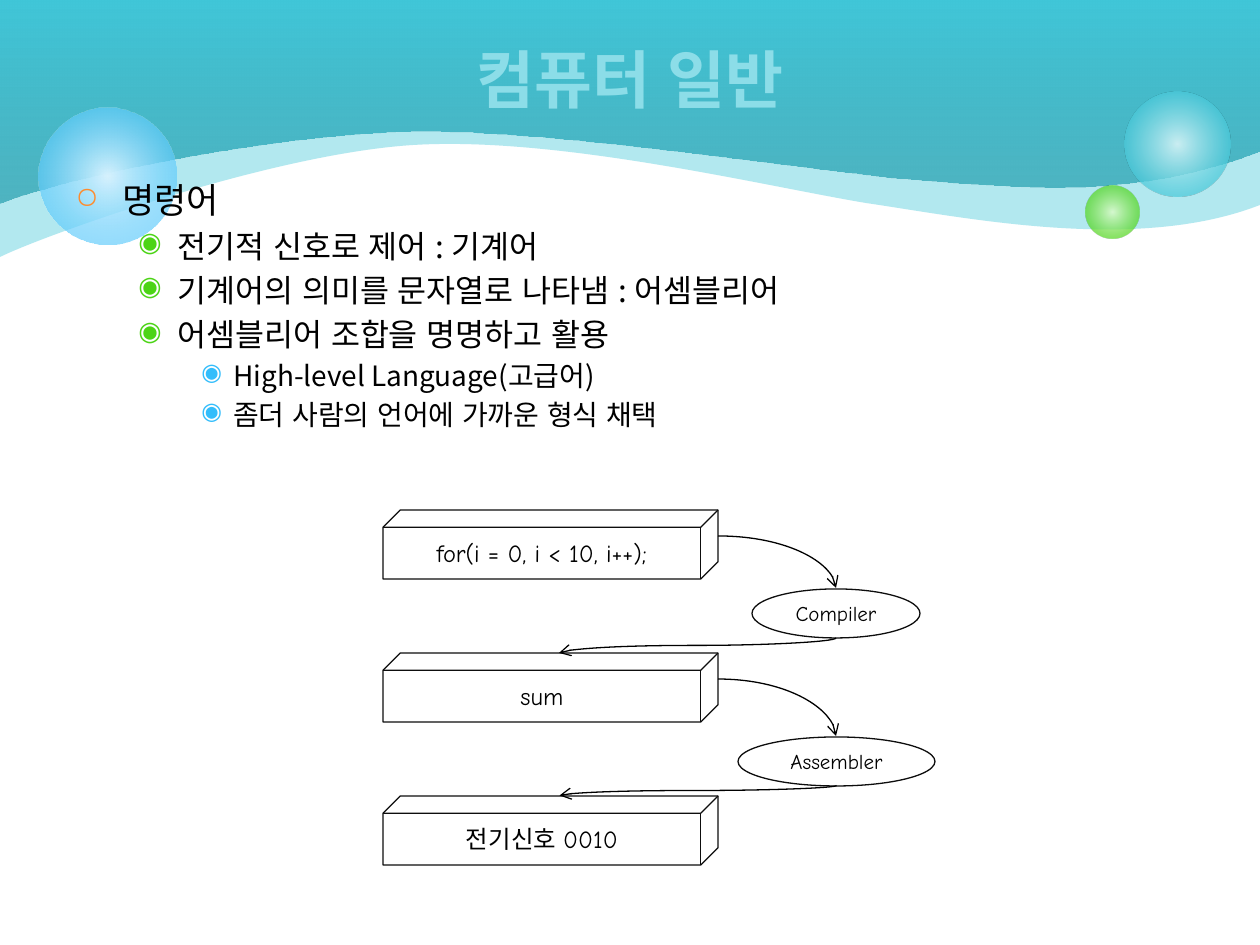
from dataclasses import dataclass

from lxml.etree import SubElement
from pptx import Presentation
from pptx.dml.color import RGBColor
from pptx.enum.lang import MSO_LANGUAGE_ID
from pptx.enum.shapes import MSO_CONNECTOR, MSO_SHAPE
from pptx.enum.text import MSO_ANCHOR, PP_ALIGN
from pptx.oxml.ns import qn
from pptx.util import Emu, Pt

EMU_PER_PX = 914400 / 126
KOREAN_FONT = "Noto Sans CJK KR"
LATIN_FONT = "Comic Neue"


@dataclass
class Stop:
    position: int
    color: str
    alpha: int = 100


@dataclass
class Wave:
    curves: list
    stops: list


@dataclass
class Bubble:
    left: int
    top: int
    size: int
    stops: list


@dataclass
class Level:
    margin: int
    hanging: int
    size: int
    bullet: str
    color: str


@dataclass
class Node:
    kind: MSO_SHAPE
    left: int
    top: int
    width: int
    height: int
    text: str
    size: int


@dataclass
class Arrow:
    preset: str
    left: int
    top: int
    width: int
    height: int
    rotation: int = 0


WAVES = [
    Wave([((0, 68), (0, 189), (0, 257)),
          ((42, 236), (270, 154), (413, 145)),
          ((558, 136), (764, 186), (866, 203)),
          ((968, 218), (1137, 253), (1260, 205))],
         [Stop(0, "40C6D8", 40)]),
    Wave([((0, 68), (0, 136), (0, 204)),
          ((57, 181), (256, 136), (411, 132)),
          ((566, 129), (829, 175), (929, 181)),
          ((1028, 188), (1137, 200), (1260, 152))],
         [Stop(0, "249EAE", 69), Stop(100, "40C6D8")]),
]
BUBBLES = [
    Bubble(1125, 92, 105, [Stop(0, "D9F4F7", 90), Stop(76, "40C6D8", 70)]),
    Bubble(1086, 186, 53, [Stop(0, "DAFACD", 90), Stop(76, "4CD416", 70)]),
    Bubble(39, 108, 137, [Stop(0, "D6F2FE"), Stop(100, "33BDFB", 54)]),
]
LEVELS = [
    Level(47, 47, 20, "○", "FE8C2E"),
    Level(102, 39, 18, "◉", "4CD416"),
    Level(158, 32, 16, "◉", "33BDFB"),
]
OUTLINE = [
    (0, "명령어"),
    (1, "전기적 신호로 제어 : 기계어"),
    (1, "기계어의 의미를 문자열로 나타냄 : 어셈블리어"),
    (1, "어셈블리어 조합을 명명하고 활용"),
    (2, "High-level Language(고급어)"),
    (2, "좀더 사람의 언어에 가까운 형식 채택"),
]
CODE_STAGES = ["for(i = 0, i < 10, i++);", "sum", "전기신호 0010"]
NODES = [Node(MSO_SHAPE.CUBE, 383, 510 + 143 * row, 335, 69, text, 14)
         for row, text in reversed(list(enumerate(CODE_STAGES)))] + [
    Node(MSO_SHAPE.OVAL, 752, 589, 168, 49, "Compiler", 12),
    Node(MSO_SHAPE.OVAL, 738, 737, 197, 49, "Assembler", 12),
]
ARROWS = [
    Arrow("curvedConnector2", 718, 536, 118, 52),
    Arrow("curvedConnector3", 690, 507, 15, 277, 90),
    Arrow("curvedConnector2", 718, 679, 118, 57),
    Arrow("curvedConnector3", 693, 652, 10, 277, 90),
]


def px(length: int) -> Emu:
    return Emu(round(length * EMU_PER_PX))


def rgb(color: str) -> RGBColor:
    return RGBColor.from_string(color)


def add_color(parent, stop: Stop) -> None:
    color = SubElement(parent, qn("a:srgbClr"), val=stop.color)
    SubElement(color, qn("a:alpha"), val=str(stop.alpha * 1000))


def paint(shape, stops: list, radial: bool = False) -> None:
    """Fill with one translucent colour, or with a gradient for several stops."""
    shape.shadow.inherit = False
    shape.line.fill.background()
    shape.fill.background()
    properties = shape._element.spPr
    empty = properties.find(qn("a:noFill"))
    fill = SubElement(properties, qn("a:solidFill" if len(stops) == 1 else "a:gradFill"))
    properties.replace(empty, fill)
    if len(stops) == 1:
        add_color(fill, stops[0])
        return
    stop_list = SubElement(fill, qn("a:gsLst"))
    for stop in stops:
        add_color(SubElement(stop_list, qn("a:gs"), pos=str(stop.position * 1000)), stop)
    if radial:
        circle = SubElement(fill, qn("a:path"), path="circle")
        SubElement(circle, qn("a:fillToRect"), l="50000", t="50000", r="50000", b="50000")
    else:
        SubElement(fill, qn("a:lin"), ang="16200000", scaled="0")


def set_font(para, name: str, size: int, color: str, bold: bool = False) -> None:
    font = para.font
    font.size, font.bold, font.name = Pt(size), bold, name
    font.language_id = MSO_LANGUAGE_ID.KOREAN
    font.color.rgb = rgb(color)
    SubElement(font._element, qn("a:ea"), typeface=KOREAN_FONT)


def draw_wave(page, wave: Wave) -> None:
    """Join the curve ends with a freeform, then bend its segments into Béziers."""
    builder = page.shapes.build_freeform(0, 0, scale=EMU_PER_PX)
    ends = [curve[-1] for curve in wave.curves]
    builder.add_line_segments(ends + [(1261, 0), (0, 0)], close=True)
    shape = builder.convert_to_shape()
    segments = list(shape._element.iter(qn("a:lnTo")))
    for segment, curve in zip(segments, wave.curves):
        outline = segment.getparent()
        bend = SubElement(outline, qn("a:cubicBezTo"))
        outline.replace(segment, bend)
        for x, y in curve:
            SubElement(bend, qn("a:pt"), x=str(x), y=str(y))
    paint(shape, wave.stops)


def draw_bubble(page, bubble: Bubble) -> None:
    shape = page.shapes.add_shape(MSO_SHAPE.OVAL, px(bubble.left), px(bubble.top),
                                  px(bubble.size), px(bubble.size))
    paint(shape, bubble.stops, radial=True)


def draw_outline(page) -> None:
    frame = page.shapes.add_textbox(px(63), px(172), px(1134), px(699)).text_frame
    frame.word_wrap = True
    for index, (depth, text) in enumerate(OUTLINE):
        level = LEVELS[depth]
        para = frame.add_paragraph() if index else frame.paragraphs[0]
        para.text, para.level = text, depth
        properties = para._p.get_or_add_pPr()
        properties.set("marL", str(px(level.margin)))
        properties.set("indent", str(-px(level.hanging)))
        SubElement(SubElement(properties, qn("a:buClr")), qn("a:srgbClr"), val=level.color)
        SubElement(properties, qn("a:buSzPct"), val="85000")
        SubElement(properties, qn("a:buChar"), char=level.bullet)
        para.space_before = Pt(level.size * 0.2)
        set_font(para, KOREAN_FONT, level.size, "000000")


def draw_title(page) -> None:
    title = page.shapes.title
    title.left, title.top, title.width, title.height = px(63), px(0), px(1134), px(157)
    title.text_frame.text = "컴퓨터 일반"
    title.text_frame.vertical_anchor = MSO_ANCHOR.MIDDLE
    para = title.text_frame.paragraphs[0]
    para.alignment = PP_ALIGN.CENTER
    set_font(para, KOREAN_FONT, 36, "8CDDE8", bold=True)
    page.shapes._spTree.append(title._element)  # in front of the waves


def draw_node(page, node: Node) -> None:
    shape = page.shapes.add_shape(node.kind, px(node.left), px(node.top),
                                  px(node.width), px(node.height))
    shape.shadow.inherit = False
    shape.fill.background()
    shape.line.color.rgb, shape.line.width = rgb("0D0D0D"), Pt(0.75)
    shape.text_frame.text = node.text
    shape.text_frame.vertical_anchor = MSO_ANCHOR.MIDDLE
    para = shape.text_frame.paragraphs[0]
    para.alignment = PP_ALIGN.CENTER
    set_font(para, LATIN_FONT, node.size, "000000")


def draw_arrow(page, arrow: Arrow) -> None:
    line = page.shapes.add_connector(
        MSO_CONNECTOR.CURVE, px(arrow.left), px(arrow.top),
        px(arrow.left + arrow.width), px(arrow.top + arrow.height))
    line.line.color.rgb, line.line.width = rgb("000000"), Pt(0.75)
    properties = line._element.spPr
    properties.find(qn("a:prstGeom")).set("prst", arrow.preset)
    properties.find(qn("a:xfrm")).set("rot", str(arrow.rotation * 60000))
    SubElement(properties.find(qn("a:ln")), qn("a:tailEnd"), type="arrow")
    SubElement(properties, qn("a:effectLst"))


def main() -> None:
    deck = Presentation()
    deck.slide_width, deck.slide_height = px(1260), px(945)
    page = deck.slides.add_slide(deck.slide_layouts[5])
    for draw, items in ((draw_wave, WAVES), (draw_bubble, BUBBLES)):
        for item in items:
            draw(page, item)
    draw_outline(page)
    draw_title(page)
    for draw, items in ((draw_node, NODES), (draw_arrow, ARROWS)):
        for item in items:
            draw(page, item)
    deck.save("out.pptx")


if __name__ == "__main__":
    main()
